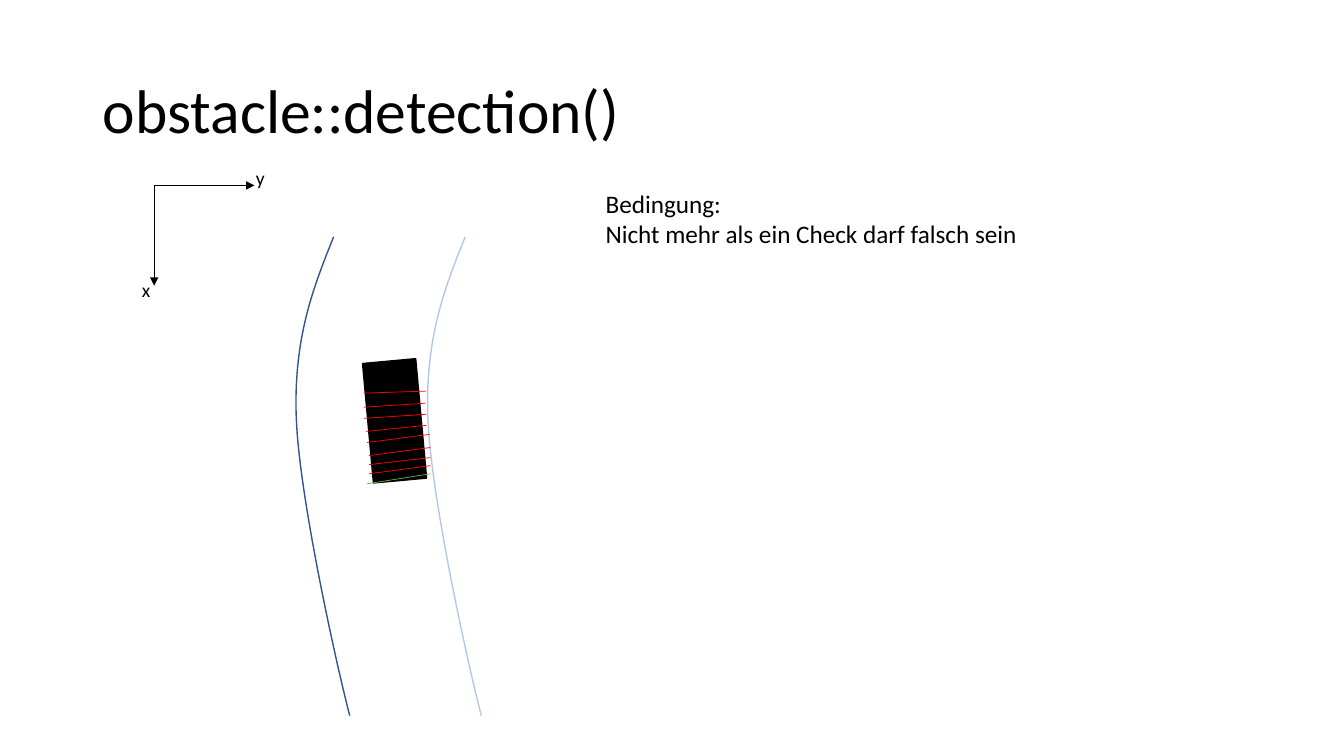
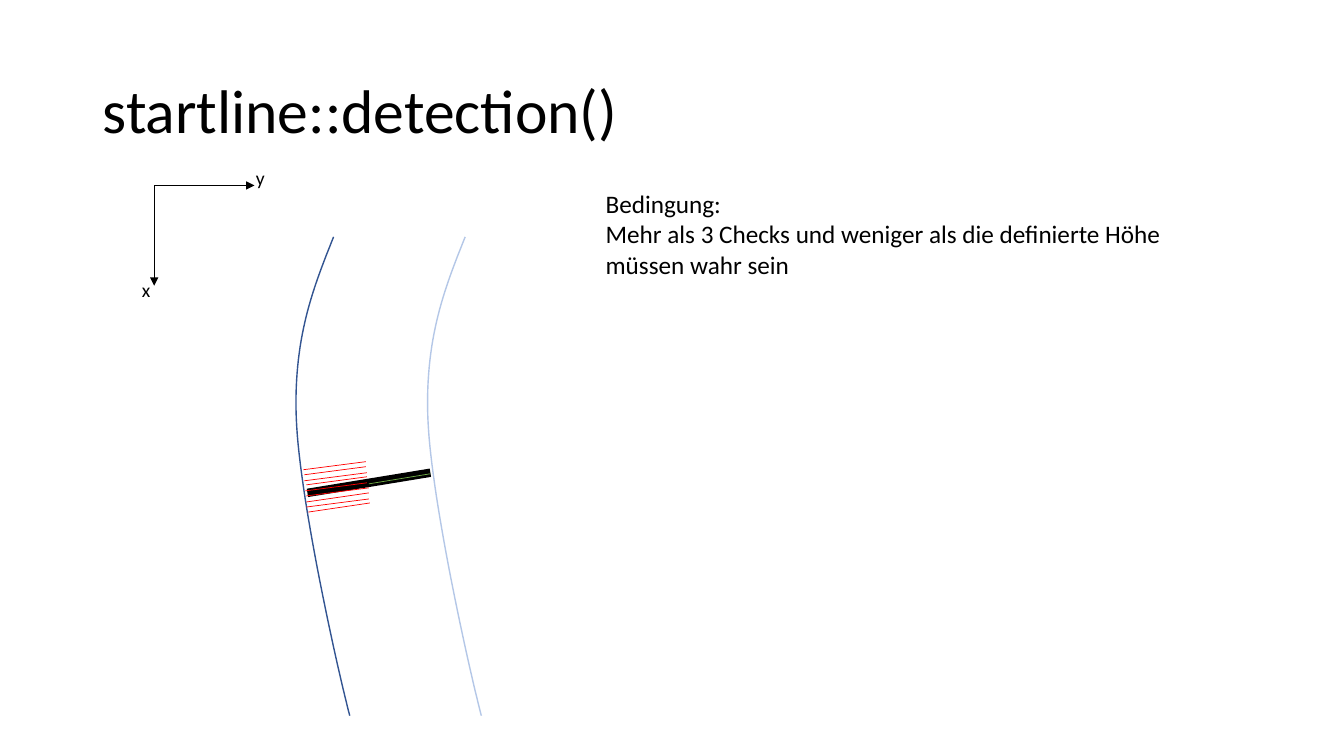
"""Build two slides on obstacle and start line checks along a curved lane."""
from typing import NamedTuple

from lxml import etree
from pptx import Presentation
from pptx.dml.color import RGBColor
from pptx.enum.shapes import MSO_CONNECTOR, MSO_SHAPE
from pptx.enum.text import MSO_ANCHOR, MSO_AUTO_SIZE
from pptx.oxml.ns import qn
from pptx.slide import Slide
from pptx.util import Pt

STRAIGHT = MSO_CONNECTOR.STRAIGHT
RECT = MSO_SHAPE.RECTANGLE
TOP, MIDDLE = MSO_ANCHOR.TOP, MSO_ANCHOR.MIDDLE
GROW, FIXED = MSO_AUTO_SIZE.SHAPE_TO_FIT_TEXT, MSO_AUTO_SIZE.NONE

FONT = "Calibri"
COLORS = {
    "ink": "000000",
    "lane": "325491",
    "pale": "B4C7E7",
    "check": "FF0000",
    "base": "70AD47",
}


class Spot(NamedTuple):
    x: float
    y: float


class Box(NamedTuple):
    left: float
    top: float
    width: float
    height: float


class Line(NamedTuple):
    x1: float
    y1: float
    x2: float
    y2: float
    color: str = "check"
    weight: float = 0.5
    arrow: bool = False


class Page(NamedTuple):
    title: str
    note: str
    area: Box
    lines: list[Line]


AXIS = Spot(110.16, 132.48)
REACH = 71.6
LANE = [
    Spot(238.32, 169.2),
    Spot(223.92, 205.2), Spot(209.52, 241.2), Spot(211.68, 298.8),
    Spot(213.84, 355.68), Spot(240.48, 475.2), Spot(249.84, 511.2),
]
LANE_GAP = 94
STEPS = 30

BODY = Box(262.8, 257.76, 38.16, 85.68)
TILT = 354.8

OBSTACLE = Page(
    "obstacle::detection()",
    "Bedingung: \nNicht mehr als ein Check darf falsch sein",
    Box(425.52, 131.04, 345.6, 51.12),
    [
        Line(262.08, 345.6, 307.44, 338.4, "base"),
        Line(263.52, 325.44, 307.44, 319.68),
        Line(263.52, 331.92, 307.44, 326.88),
        Line(263.52, 338.4, 307.44, 332.64),
        Line(262.08, 316.08, 306.72, 310.32),
        Line(261.36, 308.16, 304.56, 303.84),
        Line(259.92, 298.8, 304.56, 295.92),
        Line(259.92, 290.88, 303.84, 288),
        Line(259.92, 280.8, 304.56, 279.36),
    ],
)
START = Page(
    "startline::detection()",
    "Bedingung: \nMehr als 3 Checks und weniger als die definierte Höhe müssen wahr sein",
    Box(425.52, 131.04, 447.84, 72.72),
    [
        Line(219.6, 352.08, 307.44, 337.68, "ink", 6),
        Line(263.52, 345.6, 307.44, 338.4, "base"),
        Line(218.88, 354.24, 263.52, 348.48),
        Line(218.88, 358.56, 263.52, 352.08),
        Line(218.88, 362.16, 263.52, 356.4),
        Line(218.16, 350.64, 262.08, 344.88),
        Line(218.88, 346.32, 262.08, 340.56),
        Line(217.44, 343.44, 262.08, 337.68),
        Line(217.44, 339.12, 261.36, 333.36),
        Line(216.72, 335.52, 261.36, 329.76),
        Line(220.32, 365.76, 264.24, 359.28),
    ],
)


def paint(name: str) -> RGBColor:
    return RGBColor.from_string(COLORS[name])


def add_text(slide: Slide, text: str, box: Box, *, size: float,
             color: str = "ink", anchor: MSO_ANCHOR = TOP,
             fit: MSO_AUTO_SIZE = GROW, pitch: float = 1.0) -> None:
    frame = slide.shapes.add_textbox(*map(Pt, box)).text_frame
    frame.word_wrap = True
    frame.auto_size = fit
    frame.vertical_anchor = anchor
    frame.text = text
    for para in frame.paragraphs:
        para.line_spacing = pitch
        for run in para.runs:
            run.font.name = FONT
            run.font.size = Pt(size)
            run.font.color.rgb = paint(color)


def add_line(slide: Slide, line: Line) -> None:
    ends = map(Pt, (line.x1, line.y1, line.x2, line.y2))
    link = slide.shapes.add_connector(STRAIGHT, *ends)
    link.line.color.rgb = paint(line.color)
    link.line.width = Pt(line.weight)
    props = link._element.spPr
    if line.arrow:
        tip = etree.SubElement(props.find(qn("a:ln")), qn("a:tailEnd"))
        tip.set("type", "triangle")
    etree.SubElement(props, qn("a:effectLst"))


def bezier(a: Spot, b: Spot, c: Spot, d: Spot) -> list[Spot]:
    spots = []
    for step in range(1, STEPS + 1):
        t = step / STEPS
        u = 1 - t
        parts = (u ** 3, 3 * u * u * t, 3 * u * t * t, t ** 3)
        x, y = (sum(p * v for p, v in zip(parts, vals))
                for vals in zip(a, b, c, d))
        spots.append(Spot(x, y))
    return spots


def add_lane(slide: Slide, shift: float, color: str) -> None:
    curve = LANE[:1] + bezier(*LANE[:4]) + bezier(*LANE[3:])
    first, *rest = [(Pt(x + shift), Pt(y)) for x, y in curve]
    pen = slide.shapes.build_freeform(*first)
    pen.add_line_segments(rest, close=False)
    edge = pen.convert_to_shape()
    edge.shadow.inherit = False
    edge.fill.background()
    edge.line.color.rgb = paint(color)
    edge.line.width = Pt(1)


def add_body(slide: Slide) -> None:
    body = slide.shapes.add_shape(RECT, *map(Pt, BODY))
    body.rotation = TILT
    body.shadow.inherit = False
    body.fill.solid()
    body.fill.fore_color.rgb = paint("ink")
    body.line.color.rgb = paint("ink")
    body.line.width = Pt(1)


def add_scene(slide: Slide, page: Page) -> None:
    add_text(slide, page.title, Box(66.24, 28.8, 828, 104.4), size=44,
             anchor=MIDDLE, fit=FIXED, pitch=0.9)
    add_lane(slide, 0, "lane")
    add_lane(slide, LANE_GAP, "pale")
    for dx, dy in ((0, REACH), (REACH, 0)):
        add_line(slide, Line(*AXIS, AXIS.x + dx, AXIS.y + dy, "ink", arrow=True))
    add_text(slide, "x", Box(94.32, 195.12, 32.4, 24.48), size=14)
    add_text(slide, "y", Box(175.68, 115.2, 32.4, 24.48), size=14)
    for line in page.lines:
        add_line(slide, line)
    add_text(slide, page.note, page.area, size=18)


def main() -> None:
    deck = Presentation()
    deck.slide_width, deck.slide_height = Pt(960), Pt(540)
    blank = deck.slide_layouts[6]
    for page in (OBSTACLE, START):
        slide = deck.slides.add_slide(blank)
        if page is OBSTACLE:
            add_body(slide)
        add_scene(slide, page)
    deck.save("out.pptx")


main()
